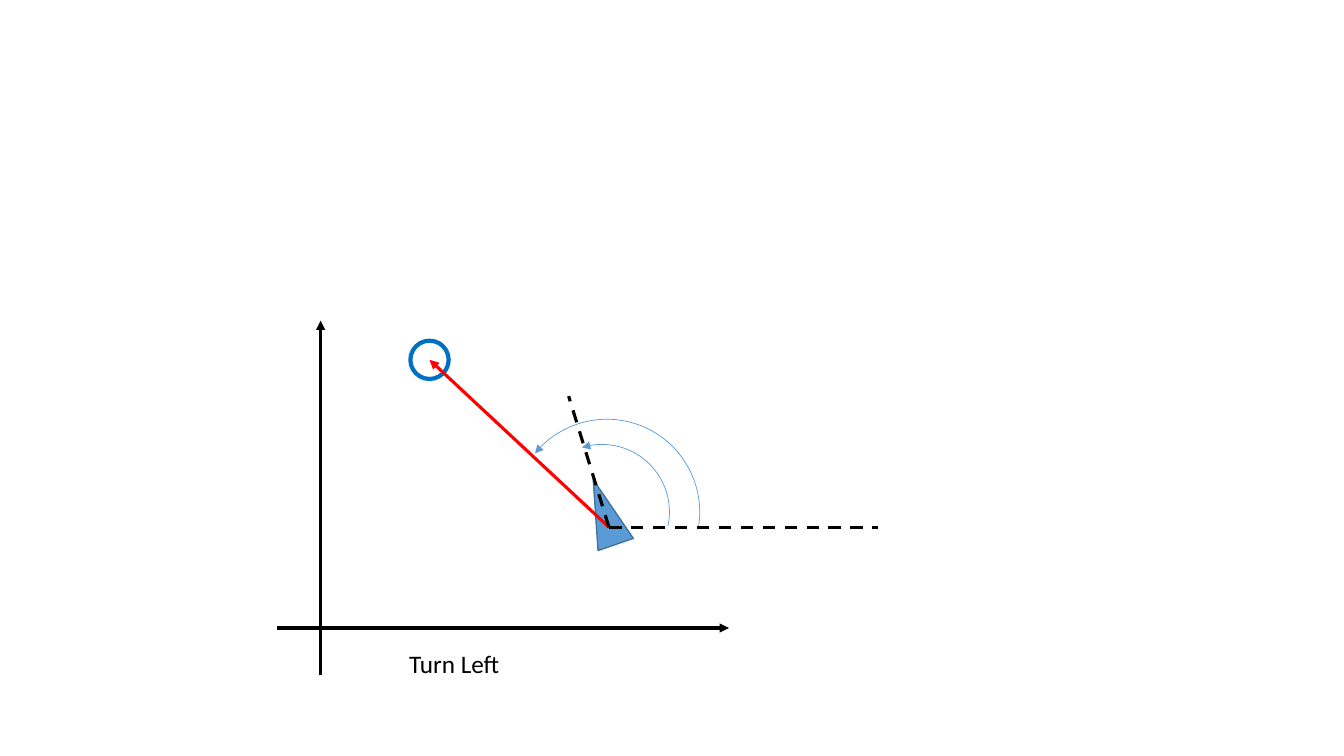
from lxml import etree
from pptx import Presentation
from pptx import util as u
from pptx.dml.color import RGBColor
from pptx.enum import dml, shapes, text
from pptx.oxml import ns

COLORS = {"ink": "000000", "target": "0070C0", "aim": "FF0000",
          "robot": "5B9BD5", "robot_edge": "43739E"}


class Diagram:
    """Draws on a grid of square cells, ten to the inch."""
    CELL = u.Inches(0.1)
    FONT, TEXT_SIZE = "Calibri", 18

    def __init__(self, page):
        self.page = page

    def cells(self, *lengths):
        return [u.Emu(round(length * self.CELL)) for length in lengths]

    def color(self, name):
        return RGBColor.from_string(COLORS[name])

    def stroke(self, item, color, weight, arrow=None):
        item.line.color.rgb = self.color(color)
        item.line.width = u.Pt(weight)
        if arrow:
            line = item.line._get_or_add_ln()
            etree.SubElement(line, ns.qn(f"a:{arrow}"), type="triangle")

    def line(self, start, end, color="ink", arrow=None, dashed=False):
        link = self.page.shapes.add_connector(
            shapes.MSO_CONNECTOR.STRAIGHT, *self.cells(*start, *end))
        if dashed:
            link.line.dash_style = dml.MSO_LINE.DASH
        self.stroke(link, color, 2.25, arrow)
        etree.SubElement(link._element.spPr, ns.qn("a:effectLst"))

    def shape(self, kind, center, size, edge, weight, fill=None, turn=0,
              angles=(), arrow=None):
        (col, row), (width, height) = center, size
        item = self.page.shapes.add_shape(
            kind, *self.cells(col - width / 2, row - height / 2, width, height))
        item.shadow.inherit = False
        item.rotation = turn
        for index, angle in enumerate(angles):
            item.adjustments[index] = angle * 0.6  # 60000 units to a degree
        if fill:
            item.fill.solid()
            item.fill.fore_color.rgb = self.color(fill)
        else:
            item.fill.background()
        self.stroke(item, edge, weight, arrow)

    def label(self, words, left, top, width, height):
        box = self.page.shapes.add_textbox(*self.cells(left, top, width, height))
        frame = box.text_frame
        frame.word_wrap = False
        frame.auto_size = text.MSO_AUTO_SIZE.SHAPE_TO_FIT_TEXT
        para = frame.paragraphs[0]
        para.text = words
        para.font.name = self.FONT
        para.font.size = u.Pt(self.TEXT_SIZE)
        para.font.color.rgb = self.color("ink")


def main():
    deck = Presentation()
    deck.slide_width, deck.slide_height = u.Inches(13.33), u.Inches(7.5)
    diagram = Diagram(deck.slides.add_slide(deck.slide_layouts[6]))
    kinds = shapes.MSO_SHAPE
    target, robot = (42.6, 35.7), (60.4, 52.3)

    # Axes
    diagram.line((27.5, 62.3), (72.3, 62.3), arrow="tailEnd")
    diagram.line((31.8, 67), (31.8, 31.8), arrow="tailEnd")

    # Target, robot and the direction between them
    diagram.shape(kinds.OVAL, target, (3.8, 3.8), "target", 3)
    diagram.shape(kinds.ISOSCELES_TRIANGLE, (59.95, 50.8), (3.7, 6.8),
                  "robot_edge", 1, fill="robot", turn=340.9)
    diagram.line(robot, target, "aim", arrow="tailEnd")

    # Angles to the target and to the heading
    for center, size, angles in (((60.2, 50.8), 18.4, (219.14, 9.61)),
                                 ((59.7, 50.8), 13.4, (252.86, 11.88))):
        diagram.shape(kinds.ARC, center, (size, size), "robot", 0.5,
                      angles=angles, arrow="headEnd")

    # Reference direction and heading
    for end in ((87.1, 52.3), (56.4, 39.3)):
        diagram.line(robot, end, dashed=True)

    # Caption
    diagram.label("Turn Left", 39.6, 63.8, 11.1, 4)
    deck.save("out.pptx")


if __name__ == "__main__":
    main()
